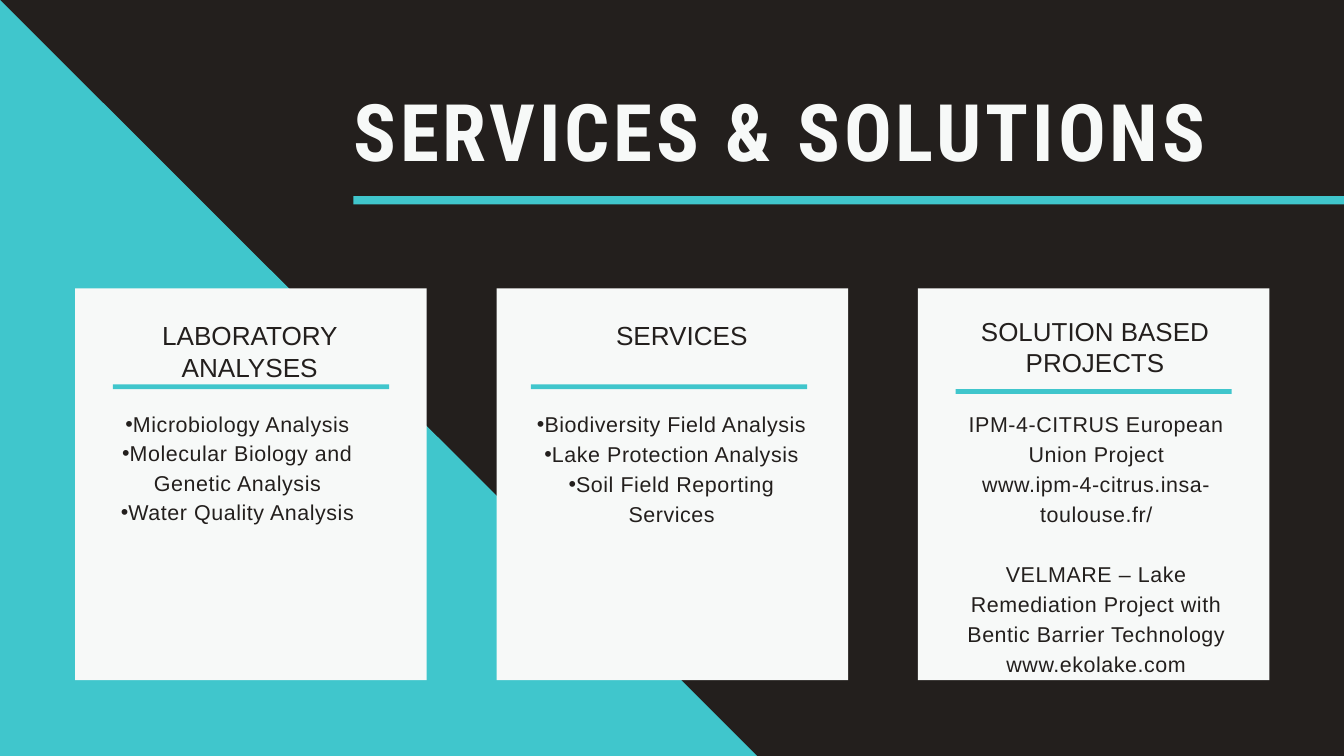
from dataclasses import dataclass

from lxml import etree
from pptx import Presentation
from pptx.dml.color import RGBColor
from pptx.enum.shapes import MSO_SHAPE
from pptx.enum.text import MSO_AUTO_SIZE, PP_ALIGN
from pptx.oxml.ns import qn
from pptx.slide import Slide
from pptx.util import Inches, Pt

DARK = RGBColor(0x23, 0x1F, 0x1D)
TEAL = RGBColor(0x40, 0xC6, 0xCC)
WHITE = RGBColor(0xF7, 0xF9, 0xF8)
RECTANGLE = MSO_SHAPE.RECTANGLE
GROW = MSO_AUTO_SIZE.SHAPE_TO_FIT_TEXT
LEFT = PP_ALIGN.LEFT
CENTER = PP_ALIGN.CENTER

CARD_LEFT, CARD_TOP, CARD_PITCH = 1.12, 4.29, 6.27
CARD_WIDTH, CARD_HEIGHT = 5.23, 5.83
RULE_WIDTH, RULE_HEIGHT = 4.11, 0.07
HEADING_WIDTH, BODY_WIDTH = 4.15, 4.19


@dataclass(frozen=True)
class Area:
    left: float
    top: float
    width: float
    height: float


@dataclass(frozen=True)
class Card:
    heading: str
    heading_area: Area
    heading_size: float
    heading_leading: float
    rule_left: float
    rule_top: float
    groups: tuple[tuple[str, ...], ...]
    body_area: Area
    body_leading: float
    bulleted: bool


CARDS = (
    Card("LABORATORY ANALYSES", Area(1.64, 4.76, HEADING_WIDTH, 0.93), 28, 33.6, 1.68, 5.72,
         (("Microbiology Analysis", "Molecular Biology and Genetic Analysis",
           "Water Quality Analysis"),),
         Area(1.44, 6.06, BODY_WIDTH, 1.74), 31.5, True),
    Card("SERVICES", Area(8.07, 4.76, HEADING_WIDTH, 0.47), 28, 33.6, 7.9, 5.72,
         (("Biodiversity Field Analysis", "Lake Protection Analysis",
           "Soil Field Reporting Services"),),
         Area(7.9, 6.05, BODY_WIDTH, 1.75), 32.2, True),
    Card("SOLUTION BASED PROJECTS", Area(14.22, 4.7, HEADING_WIDTH, 0.93), 27.8, 33.3, 14.22, 5.79,
         (("IPM-4-CITRUS European Union Project", "www.ipm-4-citrus.insa-toulouse.fr/"),
          ("VELMARE – Lake Remediation Project with Bentic Barrier Technology",
           "www.ekolake.com")),
         Area(14.22, 6.05, BODY_WIDTH, 3.94), 32.2, False),
)


def add_block(page: Slide, area: Area, color: RGBColor) -> None:
    """Draw a plain filled rectangle."""
    block = page.shapes.add_shape(RECTANGLE, Inches(area.left), Inches(area.top),
                                  Inches(area.width), Inches(area.height))
    block.shadow.inherit = False
    block.fill.solid()
    block.fill.fore_color.rgb = color
    block.line.fill.background()


def add_corner(page: Slide) -> None:
    """Draw the teal triangle that bleeds off the lower left corner."""
    left, top, right, bottom = -0.95, -0.95, 12.21, 12.19
    builder = page.shapes.build_freeform(Inches(right), Inches(bottom))
    builder.add_line_segments([(Inches(left), Inches(bottom)), (Inches(left), Inches(top))],
                              close=True)
    corner = builder.convert_to_shape()
    corner.shadow.inherit = False
    corner.fill.solid()
    corner.fill.fore_color.rgb = TEAL
    corner.line.fill.background()


def add_text(page: Slide, area: Area, groups: tuple[tuple[str, ...], ...], *, size: float,
             leading: float, color: RGBColor = DARK, font: str = "Arial", bold: bool = False,
             tracking: float = 0, align: PP_ALIGN = CENTER, bulleted: bool = False) -> None:
    """Write groups of paragraphs, setting one line of space between groups."""
    box = page.shapes.add_textbox(Inches(area.left), Inches(area.top),
                                  Inches(area.width), Inches(area.height))
    frame = box.text_frame
    frame.word_wrap = True
    frame.auto_size = GROW
    frame.margin_left = frame.margin_right = frame.margin_top = frame.margin_bottom = 0
    lines = [(text, group > 0 and index == 0)
             for group, texts in enumerate(groups) for index, text in enumerate(texts)]
    for number, (text, opens_group) in enumerate(lines):
        para = frame.add_paragraph() if number else frame.paragraphs[0]
        para.alignment = align
        para.line_spacing = Pt(leading)
        if opens_group:
            para.space_before = Pt(leading)
        if bulleted:
            properties = para._p.get_or_add_pPr()
            properties.set("marL", "0")
            properties.set("indent", "0")
            etree.SubElement(properties, qn("a:buFont")).set("typeface", font)
            etree.SubElement(properties, qn("a:buChar")).set("char", "•")
        span = para.add_run()
        span.text = text
        span.font.name = font
        span.font.size = Pt(size)
        span.font.bold = bold
        span.font.color.rgb = color
        if tracking:
            span._r.get_or_add_rPr().set("spc", str(round(tracking * 100)))


def add_card(page: Slide, card: Card, left: float) -> None:
    """Draw one card with its heading, rule and body."""
    add_block(page, Area(left, CARD_TOP, CARD_WIDTH, CARD_HEIGHT), WHITE)
    add_text(page, card.heading_area, ((card.heading,),), size=card.heading_size,
             leading=card.heading_leading)
    add_text(page, card.body_area, card.groups, size=23, leading=card.body_leading,
             tracking=0.6, bulleted=card.bulleted)
    add_block(page, Area(card.rule_left, card.rule_top, RULE_WIDTH, RULE_HEIGHT), TEAL)


def main() -> None:
    """Build the services slide and save it."""
    deck = Presentation()
    deck.slide_width = Inches(20)
    deck.slide_height = Inches(11.25)
    page = deck.slides.add_slide(deck.slide_layouts[6])
    page.background.fill.solid()
    page.background.fill.fore_color.rgb = DARK
    add_corner(page)
    add_block(page, Area(5.26, 2.92, 15.72, 0.12), TEAL)
    add_text(page, Area(5.26, 1.48, 12.9, 1.35), (("SERVICES & SOLUTIONS",),), size=85,
             leading=83.3, color=WHITE, font="Roboto Condensed", bold=True, tracking=4.2,
             align=LEFT)
    for index, card in enumerate(CARDS):
        add_card(page, card, CARD_LEFT + index * CARD_PITCH)
    deck.save("out.pptx")


if __name__ == "__main__":
    main()
